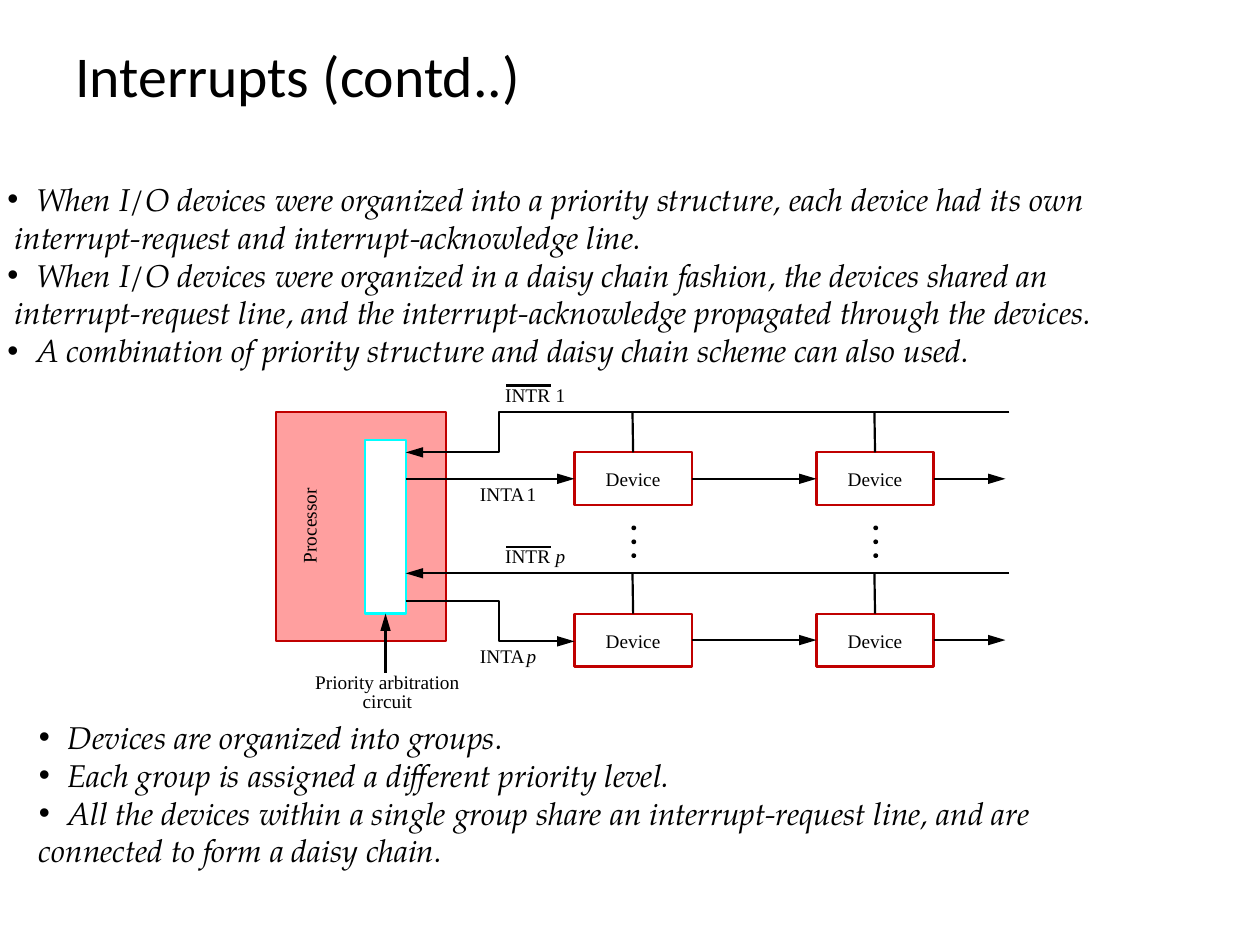
from pptx import Presentation
from pptx.dml.color import RGBColor
from pptx.enum.shapes import MSO_CONNECTOR as Link, MSO_SHAPE as Form
from pptx.enum.text import MSO_ANCHOR as Anchor, PP_ALIGN as Align
from pptx.oxml.ns import qn
from pptx.util import Inches, Pt
from lxml.etree import SubElement as add_node

BLACK = RGBColor(0, 0, 0)
WHITE = RGBColor(255, 255, 255)
RED = RGBColor(192, 0, 0)
PINK = RGBColor(255, 159, 159)
CYAN = RGBColor(0, 255, 255)
BODY = "TeX Gyre Pagella"
SERIF = "Times New Roman"
STROKE = Pt(1.25)
COL_GAP = 1.92  # between device columns
ROW_GAP = 1.28  # between device groups


def write(slide, lines, x, y, w, h, font=SERIF, size=11, italic=False,
          inset=0, wrap=False, align=Align.LEFT, anchor=Anchor.TOP, space=None):
    box = slide.shapes.add_textbox(Inches(x), Inches(y), Inches(w), Inches(h))
    frame = box.text_frame
    frame.word_wrap = wrap
    frame.vertical_anchor = anchor
    frame.margin_left = frame.margin_right = Inches(inset)
    frame.margin_top = frame.margin_bottom = Inches(inset / 2)
    for i, line in enumerate(lines):
        para = frame.add_paragraph() if i else frame.paragraphs[0]
        para.alignment = align
        para.line_spacing = space
        run = para.add_run()
        run.text = line
        run.font.name = font
        run.font.size = Pt(size)
        run.font.italic = italic
        run.font.color.rgb = BLACK
    return box


def add_list(slide, items, x, y, w, h, indent=0):
    """Each item is a bulleted line, followed by plain lines set at the indent."""
    lines = [line for item in items for line in item]
    heads = [item[0] for item in items]
    box = write(slide, lines, x, y, w, h, font=BODY, size=18, italic=True,
                inset=0.1, wrap=True)
    for para in box.text_frame.paragraphs:
        props = para._p.get_or_add_pPr()
        if para.text in heads:
            props.set("marL", str(Inches(0.23)))
            props.set("indent", str(-Inches(0.23)))
            add_node(props, qn("a:buFont"), typeface="Arial")
            add_node(props, qn("a:buChar"), char="•")
        else:
            props.set("marL", str(Inches(indent)))


def add_box(slide, x, y, w, h, line, fill=None, form=Form.RECTANGLE):
    shape = slide.shapes.add_shape(form, Inches(x), Inches(y), Inches(w), Inches(h))
    shape.shadow.inherit = False
    shape.line.color.rgb = line
    shape.line.width = STROKE
    if fill is None:
        shape.fill.background()
    else:
        shape.fill.solid()
        shape.fill.fore_color.rgb = fill
    return shape


def ink(shape, arrow):
    shape.line.color.rgb = BLACK
    shape.line.width = STROKE
    if arrow:
        add_node(shape.line._get_or_add_ln(), qn("a:tailEnd"),
                 type="triangle", w="med", len="lg")


def add_line(slide, x1, y1, x2, y2, arrow=False, start=None, end=None):
    """start and end are (shape, side) pairs to join."""
    line = slide.shapes.add_connector(
        Link.STRAIGHT, Inches(x1), Inches(y1), Inches(x2), Inches(y2))
    ink(line, arrow)
    add_node(line._element.spPr, qn("a:effectLst"))
    if start:
        line.begin_connect(*start)
    if end:
        line.end_connect(*end)


def add_bend(slide, points):
    """Bent line with an arrowhead at its last point."""
    first, *rest = [(Inches(x), Inches(y)) for x, y in points]
    pen = slide.shapes.build_freeform(*first)
    pen.add_line_segments(rest, close=False)
    shape = pen.convert_to_shape()
    shape.shadow.inherit = False
    shape.fill.background()
    ink(shape, True)


def add_label(slide, text, x, y, w, **style):
    return write(slide, [text], x, y, w, 0.18, **style)


def add_group(slide, x, y, mark, italic):
    """Device row below its request line; x, y is the line's left end."""
    boxes = []
    for col in range(2):
        left = x + 0.6 + col * COL_GAP
        mid = left + 0.46
        box = add_box(slide, left, y + 0.32, 0.93, 0.42, RED)
        boxes.append(box)
        add_label(slide, "Device", left, y + 0.44, 0.93, wrap=True, align=Align.CENTER)
        add_line(slide, mid, y, mid, y + 0.32, end=(box, 0))
    first, last = boxes
    mid = y + 0.53
    add_line(slide, x + 1.53, mid, x + 2.52, mid, True, (first, 3), (last, 1))
    add_line(slide, x + 3.45, mid, x + 4.02, mid, True, (last, 3))
    add_label(slide, "INTR", x + 0.05, y - 0.23, 0.36)
    add_label(slide, mark, x + 0.45, y - 0.23, 0.08, italic=italic)
    add_line(slide, x + 0.06, y - 0.21, x + 0.41, y - 0.21)
    add_label(slide, "INTA", x - 0.15, y + 0.56, 0.37)
    add_label(slide, mark, x + 0.22, y + 0.56, 0.08, italic=italic)
    return first


def add_cpu(slide, x, y):
    add_box(slide, x, y, 1.35, 1.82, RED, PINK)
    unit = add_box(slide, x + 0.71, y + 0.22, 0.32, 1.38, CYAN, WHITE)
    name = add_label(slide, "Processor", x - 0.04, y + 0.81, 0.6)
    name.rotation = 270
    add_line(slide, x + 0.87, y + 2.07, x + 0.87, y + 1.6, True, end=(unit, 2))
    write(slide, ["Priority arbitration", "circuit"], x + 0.27, y + 2.08, 1.23, 0.33,
          align=Align.CENTER, wrap=True, space=Pt(11))


def add_chart(slide, x, y):
    """Priority groups of daisy chains; x, y is the processor's corner."""
    edge, bend, end = x + 1.03, x + 1.77, x + 5.82
    low = y + ROW_GAP
    add_cpu(slide, x, y)
    first = add_group(slide, bend, y, "1", False)
    add_group(slide, bend, low, "p", True)
    add_bend(slide, [(end, y), (bend, y), (bend, y + 0.32), (edge, y + 0.32)])
    add_line(slide, edge, y + 0.53, bend + 0.6, y + 0.53, True, end=(first, 1))
    add_line(slide, end, low, edge, low, True)
    add_bend(slide, [(edge, low + 0.22), (bend, low + 0.22),
                     (bend, low + 0.54), (bend + 0.6, low + 0.54)])
    for col in range(2):
        for row in range(3):
            add_box(slide, bend + 1.06 + col * COL_GAP, y + 0.91 + row * 0.11,
                    0.02, 0.02, BLACK, BLACK, Form.OVAL)


def main():
    deck = Presentation()
    deck.slide_width, deck.slide_height = Inches(10), Inches(7.5)
    slide = deck.slides.add_slide(deck.slide_layouts[6])
    write(slide, ["Interrupts (contd..)"], 0.5, 0, 9.08, 1.25, font="Calibri", size=33,
          inset=0.1, wrap=True, anchor=Anchor.MIDDLE, space=0.9)
    add_list(slide, [
        ["When I/O devices were organized into a priority structure, each device had its own",
         "interrupt-request and interrupt-acknowledge line."],
        ["When I/O devices were organized in a daisy chain fashion, the devices shared an",
         "interrupt-request line, and the interrupt-acknowledge propagated through the devices."],
        ["A combination of priority structure and daisy chain scheme can also used."],
    ], -0.04, 1.38, 10.04, 1.6, indent=0.06)
    add_chart(slide, 2.19, 3.27)
    add_list(slide, [
        ["Devices are organized into groups."],
        ["Each group is assigned a different priority level."],
        ["All the devices within a single group share an interrupt-request line, and are",
         "connected to form a daisy chain."],
    ], 0.21, 5.65, 9.19, 1.3)
    deck.save("out.pptx")


if __name__ == "__main__":
    main()
